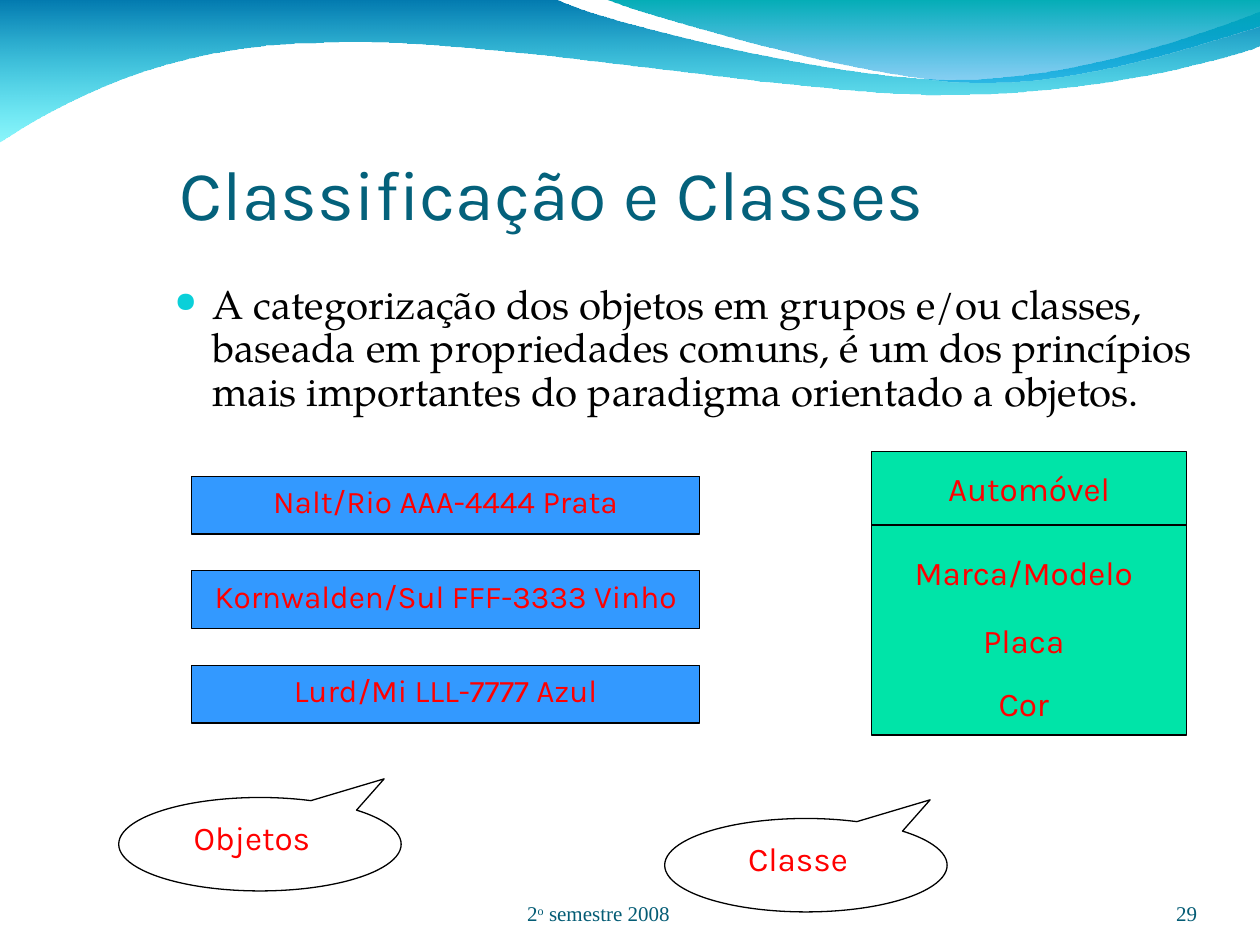
import lxml.etree
import pptx
import pptx.dml.color
import pptx.enum.shapes
import pptx.enum.text
import pptx.oxml
import pptx.oxml.ns
import pptx.util

Pt = pptx.util.Pt
Align = pptx.enum.text.PP_ALIGN
Anchor = pptx.enum.text.MSO_ANCHOR
Shape = pptx.enum.shapes.MSO_SHAPE
qn = pptx.oxml.ns.qn
rgb = pptx.dml.color.RGBColor.from_string

theme = {
    "title": {"name": "Karla", "size": Pt(40), "color": "04617B"},
    "body": {"name": "TeX Gyre Pagella", "size": Pt(23), "color": "000000"},
    "object": {"name": "Karla", "size": Pt(18), "color": "FF0000"},
    "label": {"name": "Karla", "size": Pt(19), "color": "FF0000"},
    "footer": {"name": "Times New Roman", "size": Pt(12), "color": "045C75"},
    "bullet": "0BD0D9",
    "bullet_size": "70000",
    "object_fill": "3399FF",
    "class_fill": "00E4A8",
    "callout_fill": "FFFFFF",
    "outline": "000000",
    "outline_width": Pt(0.75),
    "waves": [("0079AF", "00EBF8"), ("00ADB6", "009BE5")],
}

deck = pptx.Presentation()
deck.slide_width = pptx.util.Inches(10)
deck.slide_height = pptx.util.Inches(7.5)
column = deck.slide_width / 120
row = deck.slide_height / 90
page = deck.slides.add_slide(deck.slide_layouts[6])


def add_text(shapes, place, spans, style, frame_format, para_format):
    left, top, width, height = place
    box = shapes.add_textbox(
        int(left * column), int(top * row), int(width * column), int(height * row)
    )
    frame = box.text_frame
    para = frame.paragraphs[0]
    for target, values in ((frame, {"word_wrap": True, **frame_format}), (para, para_format)):
        for name, value in values.items():
            setattr(target, name, value)
    for words in spans:
        span = para.add_run()
        span.text = words
        for name in ("name", "size"):
            setattr(span.font, name, theme[style][name])
        span.font.color.rgb = rgb(theme[style]["color"])
    return para


def add_block(shapes, kind, place, fill):
    left, top, width, height = place
    block = shapes.add_shape(
        kind, int(left * column), int(top * row), int(width * column), int(height * row)
    )
    block.shadow.inherit = False
    block.fill.solid()
    block.fill.fore_color.rgb = rgb(theme[fill])
    block.line.color.rgb = rgb(theme["outline"])
    block.line.width = theme["outline_width"]
    return block


wave_paths = [
    [
        [(0, -0.01)],
        [(4.4, -0.01)],
        [(4.76, 0.17), (6.64, 0.63), (7.58, 0.63)],
        [(8.53, 0.63), (9.58, 0.26), (10, 0.09)],
        [(10.01, 0.36)],
        [(9.83, 0.44), (8.7, 0.76), (7.46, 0.75)],
        [(6.22, 0.75), (3.82, 0.28), (2.57, 0.34)],
        [(1.29, 0.35), (0.46, 0.83), (-0.01, 1.13)],
        [(0, -0.01)],
    ],
    [
        [(4.79, -0.01)],
        [(5.09, 0.11), (6.82, 0.62), (7.69, 0.65)],
        [(8.56, 0.69), (9.61, 0.32), (10, 0.21)],
        [(10, 0)],
        [(4.79, -0.01)],
    ],
]
unit = deck.slide_width / 10
for path, (upper, lower) in zip(wave_paths, theme["waves"]):
    segments = [[(round(x * unit), round(y * unit)) for x, y in part] for part in path]
    corners = [segment[-1] for segment in segments]
    builder = page.shapes.build_freeform(*corners[0], scale=1)
    builder.add_line_segments(corners[1:], close=True)
    wave = builder.convert_to_shape()
    wave.shadow.inherit = False
    wave.line.fill.background()
    for edge, segment in zip(list(wave._element.iter(qn("a:lnTo"))), segments[1:]):
        if len(segment) == 3:
            curve = lxml.etree.Element(qn("a:cubicBezTo"))
            for x, y in segment:
                lxml.etree.SubElement(
                    curve, qn("a:pt"), x=str(x - wave.left), y=str(y - wave.top)
                )
            edge.getparent().replace(edge, curve)
    wave.fill.gradient()
    gradient = wave.fill._xPr.find(qn("a:gradFill"))
    gradient.getparent().replace(gradient, pptx.oxml.parse_xml(
        '<a:gradFill xmlns:a="http://schemas.openxmlformats.org/drawingml/2006/main"><a:gsLst>'
        f'<a:gs pos="0"><a:srgbClr val="{upper}"/></a:gs>'
        f'<a:gs pos="100000"><a:srgbClr val="{lower}"><a:alpha val="45000"/></a:srgbClr></a:gs>'
        '</a:gsLst><a:lin ang="5400000" scaled="0"/></a:gradFill>'
    ))

add_text(
    page.shapes, (15.95, 7.9, 102.2, 15), ["Classificação e Classes"], "title",
    {"vertical_anchor": Anchor.BOTTOM}, {},
)

body = add_text(
    page.shapes, (15.45, 26.5, 102, 22.8),
    ["A categorização dos objetos em grupos e/ou classes, baseada em propriedades comuns, "
     "é um dos princípios mais importantes do paradigma orientado a objetos."],
    "body", {}, {"line_spacing": 0.9},
)
body_format = body._p.get_or_add_pPr()
indent = pptx.util.Inches(0.3)
body_format.set("marL", str(indent))
body_format.set("indent", str(-indent))
bullet_color = lxml.etree.SubElement(body_format, qn("a:buClr"))
lxml.etree.SubElement(bullet_color, qn("a:srgbClr"), val=theme["bullet"])
lxml.etree.SubElement(body_format, qn("a:buSzPct"), val=theme["bullet_size"])
lxml.etree.SubElement(body_format, qn("a:buChar"), char="●")

footer_frame = {"vertical_anchor": Anchor.BOTTOM}
for side in ("left", "top", "right", "bottom"):
    footer_frame[f"margin_{side}"] = 0
footers = [
    ((35, 83.4, 44, 4.8), ["2", "o", " semestre 2008"], Align.CENTER),
    ((104, 83.4, 10, 4.8), ["29"], Align.RIGHT),
]
for place, spans, alignment in footers:
    footer = add_text(
        page.shapes, place, spans, "footer", footer_frame,
        {"alignment": alignment, "line_spacing": Pt(54)},
    )
    for span in footer.runs[1:2]:
        span._r.get_or_add_rPr().set("baseline", "30000")

label_frame = {"auto_size": pptx.enum.text.MSO_AUTO_SIZE.SHAPE_TO_FIT_TEXT}
centered = {"alignment": Align.CENTER}

objects = ["Nalt/Rio AAA-4444 Prata", "Kornwalden/Sul FFF-3333 Vinho", "Lurd/Mi LLL-7777 Azul"]
for index, words in enumerate(objects):
    top = 45.36 + 9 * index
    group = page.shapes.add_group_shape().shapes
    add_block(group, Shape.RECTANGLE, (18.25, top, 48.4, 5.5), "object_fill")
    add_text(group, (14.95, top, 55, 4.8), [words], "object", label_frame, centered)

add_block(page.shapes, Shape.RECTANGLE, (83, 43, 30, 27), "class_fill")
class_labels = [
    ("Automóvel", (88, 44, 20, 5)),
    ("Marca/Modelo", (85, 52, 25, 5)),
    ("Placa", (85, 58.45, 25, 5)),
    ("Cor", (85, 64.45, 25, 5)),
]
for words, place in class_labels:
    add_text(page.shapes, place, [words], "label", label_frame, centered)

divider = page.shapes.add_connector(
    pptx.enum.shapes.MSO_CONNECTOR.STRAIGHT,
    int(83 * column), int(50 * row), int(113 * column), int(50 * row),
)
divider.line.color.rgb = rgb(theme["outline"])
divider.line.width = theme["outline_width"]
lxml.etree.SubElement(divider._element.spPr, qn("a:effectLst"))

for words, left, top in (("Objetos", 11.3, 75.95), ("Classe", 63.3, 77.95)):
    group = page.shapes.add_group_shape().shapes
    callout = add_block(group, Shape.OVAL_CALLOUT, (left, top, 26.9, 8.9), "callout_fill")
    callout.rotation = 180
    callout.adjustments[0] = -0.44
    callout.adjustments[1] = 0.7
    add_text(group, (left + 4.8, top + 1.3, 15.8, 5), [words], "label", label_frame, centered)

deck.save("out.pptx")
